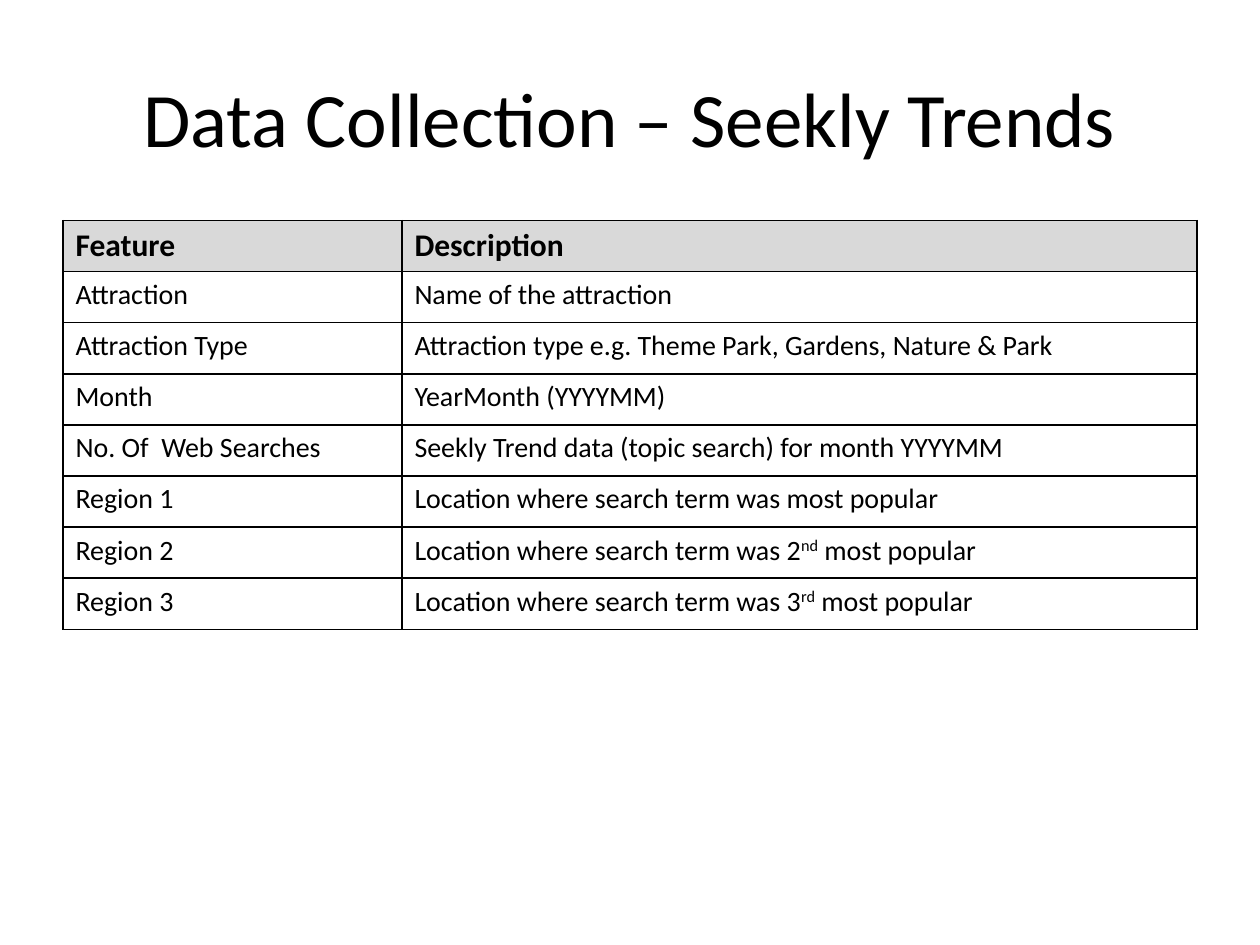
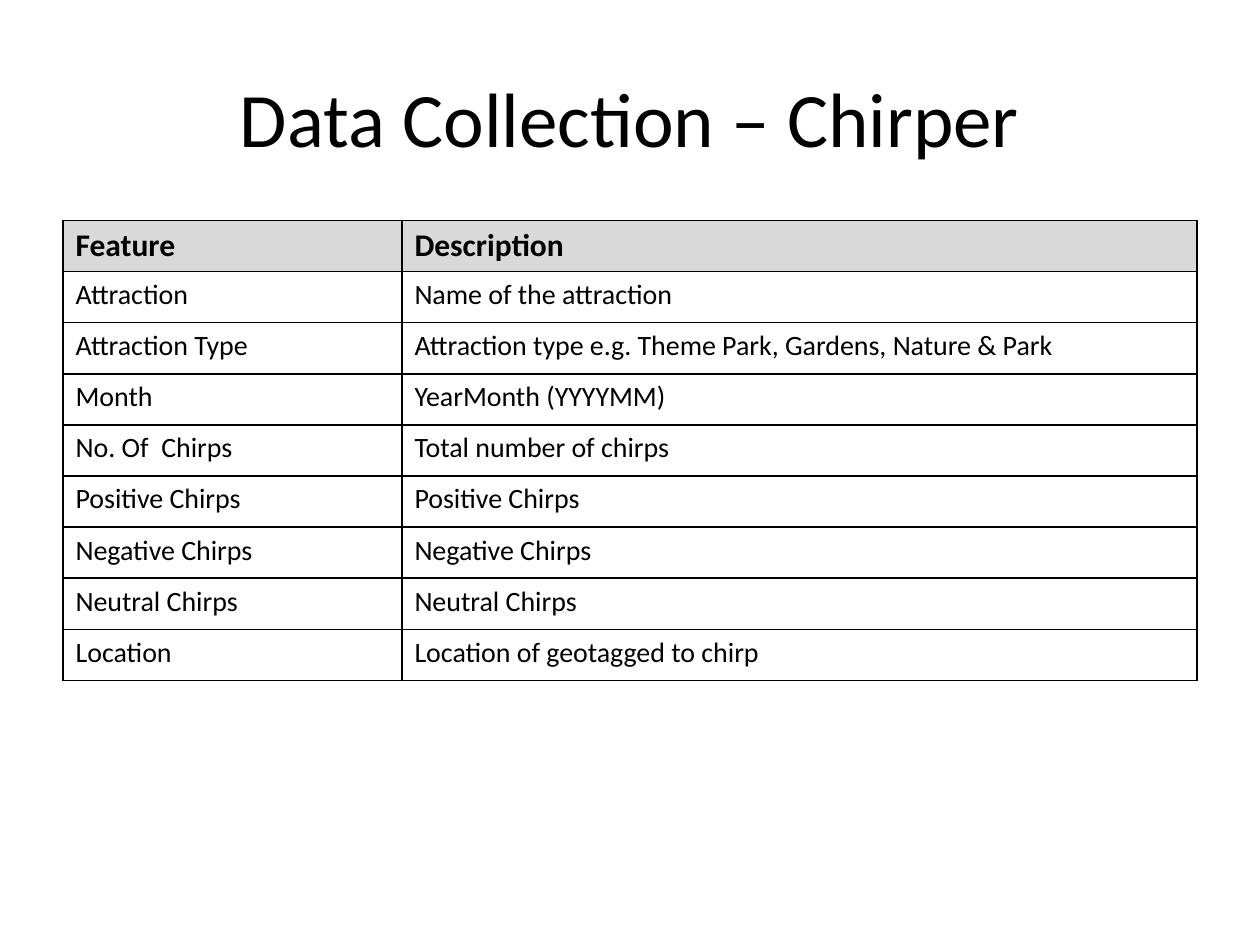
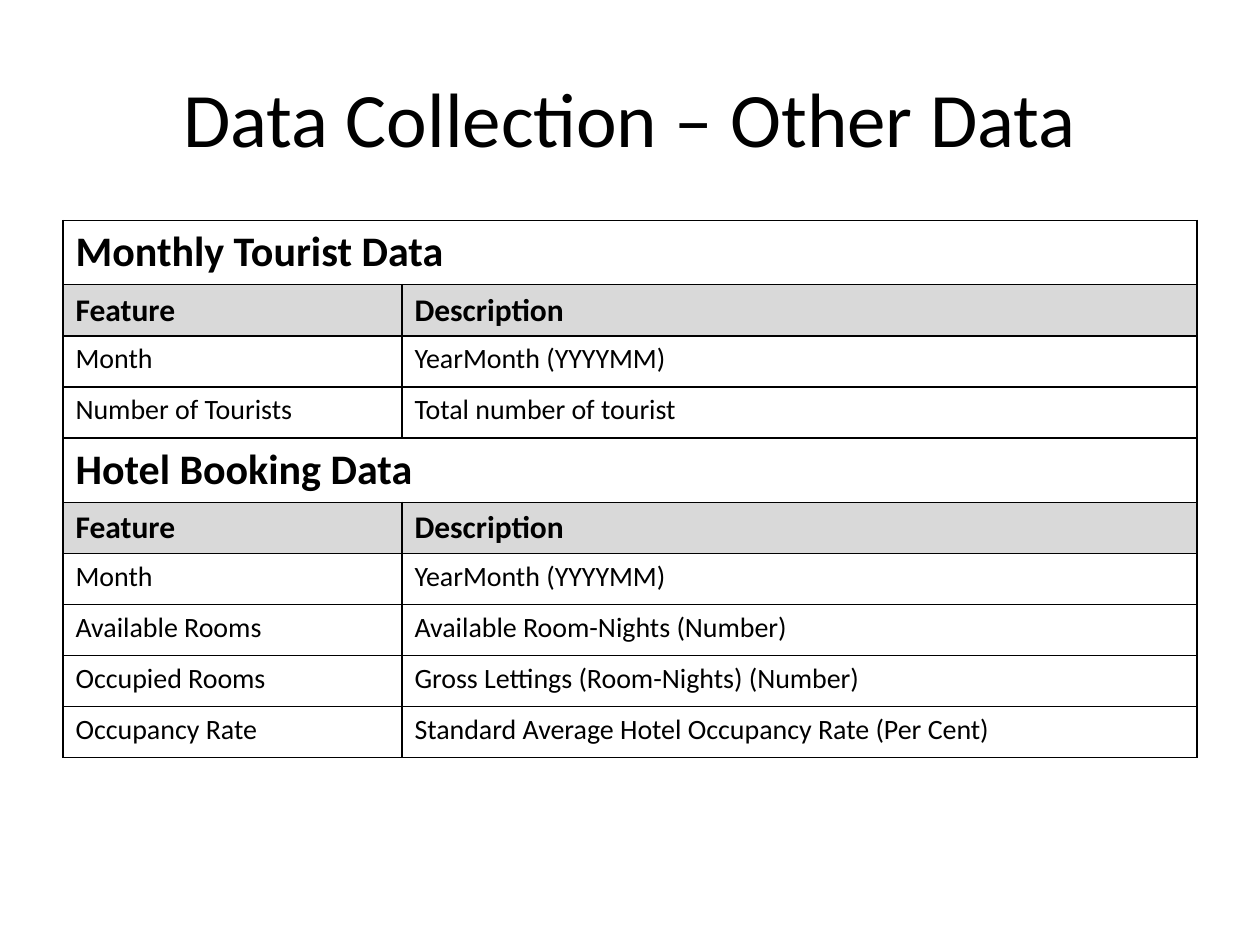
import pptx
import pptx.dml.color
import pptx.enum.text
import pptx.oxml
import pptx.oxml.ns
import pptx.util

Inches = pptx.util.Inches

COLOURS = {"text": "000000", "border": "000000", "header": "D9D9D9"}
FONT = "Calibri"
TITLE_BOX = {"left": Inches(0.5), "top": Inches(0.3), "width": Inches(9), "height": Inches(1.25)}
TABLE_LEFT, TABLE_TOP = Inches(0.5), Inches(1.75)
COLUMN_WIDTHS = [Inches(2.69), Inches(6.31)]
ROW_HEIGHT = Inches(3.65 / 9)
SECTION_HEIGHT = Inches(0.51)

TITLE_FORMAT = {"size": pptx.util.Pt(44), "bold": False}
SECTION_FORMAT = {"size": pptx.util.Pt(24), "bold": True}
HEADER_FORMAT = {"size": pptx.util.Pt(18), "bold": True}
ENTRY_FORMAT = {"size": pptx.util.Pt(16), "bold": False}

HEADER = ("Feature", "Description")
MONTH = ("Month", "YearMonth (YYYYMM)")
ATTRACTION_ROWS = [
    HEADER,
    ("Attraction", "Name of the attraction"),
    ("Attraction Type", "Attraction type e.g. Theme Park, Gardens, Nature & Park"),
    MONTH,
]
SEARCH_ROWS = ATTRACTION_ROWS + [
    ("No. Of  Web Searches", "Seekly Trend data (topic search) for month YYYYMM"),
    ("Region 1", "Location where search term was most popular"),
    ("Region 2", "Location where search term was 2^nd^ most popular"),
    ("Region 3", "Location where search term was 3^rd^ most popular"),
]
CHIRP_ROWS = ATTRACTION_ROWS + [
    ("No. Of  Chirps", "Total number of chirps"),
    *[(f"{mood} Chirps",) * 2 for mood in ("Positive", "Negative", "Neutral")],
    ("Location", "Location of geotagged to chirp"),
]
OTHER_ROWS = [
    ("Monthly Tourist Data",),
    HEADER,
    MONTH,
    ("Number of Tourists", "Total number of tourist"),
    ("Hotel Booking Data",),
    HEADER,
    MONTH,
    ("Available Rooms", "Available Room-Nights (Number)"),
    ("Occupied Rooms", "Gross Lettings (Room-Nights) (Number)"),
    ("Occupancy Rate", "Standard Average Hotel Occupancy Rate (Per Cent)"),
]


def set_attributes(target, values):
    for name, value in values.items():
        setattr(target, name, value)


def colour(name):
    return pptx.dml.color.RGBColor.from_string(COLOURS[name])


def write_text(para, text, text_format):
    for index, part in enumerate(text.split("^")):
        span = para.add_run()
        span.text = part
        set_attributes(span.font, {"name": FONT, **text_format})
        span.font.color.rgb = colour("text")
        if index % 2:
            span.font._element.set("baseline", "30000")


def add_title(page, text):
    title = page.shapes.title
    set_attributes(title, TITLE_BOX)
    title.text_frame.vertical_anchor = pptx.enum.text.MSO_ANCHOR.MIDDLE
    para = title.text_frame.paragraphs[0]
    para.alignment = pptx.enum.text.PP_ALIGN.CENTER
    write_text(para, text, TITLE_FORMAT)


def add_borders(cell):
    properties = cell._tc.get_or_add_tcPr()
    for side in ("lnL", "lnR", "lnT", "lnB"):
        properties.append(pptx.oxml.parse_xml(
            f'<a:{side} {pptx.oxml.ns.nsdecls("a")} w="{pptx.util.Pt(1)}"><a:solidFill>'
            f'<a:srgbClr val="{COLOURS["border"]}"/></a:solidFill></a:{side}>'
        ))


def style_cell(cell, is_header):
    add_borders(cell)
    if is_header:
        cell.fill.solid()
        cell.fill.fore_color.rgb = colour("header")
    else:
        cell.fill.background()


def row_format(texts):
    if len(texts) == 1:
        return SECTION_FORMAT
    return HEADER_FORMAT if texts == HEADER else ENTRY_FORMAT


def add_feature_table(page, rows):
    heights = [SECTION_HEIGHT if len(texts) == 1 else ROW_HEIGHT for texts in rows]
    table = page.shapes.add_table(
        len(rows), len(COLUMN_WIDTHS), TABLE_LEFT, TABLE_TOP, sum(COLUMN_WIDTHS), sum(heights)
    ).table
    set_attributes(table, {"first_row": False, "horz_banding": False})
    for column, width in zip(table.columns, COLUMN_WIDTHS):
        column.width = width
    for row, height, texts in zip(table.rows, heights, rows):
        row.height = height
        cells = list(row.cells)
        for cell in cells:
            style_cell(cell, texts == HEADER)
        if len(texts) == 1:
            cells[0].merge(cells[-1])
        for cell, text in zip(cells, texts):
            write_text(cell.text_frame.paragraphs[0], text, row_format(texts))


def add_data_page(deck, source, rows):
    page = deck.slides.add_slide(deck.slide_layouts.get_by_name("Title Only"))
    add_title(page, f"Data Collection – {source}")
    add_feature_table(page, rows)


def main():
    deck = pptx.Presentation()
    set_attributes(deck, {"slide_width": Inches(10), "slide_height": Inches(7.5)})
    add_data_page(deck, "Seekly Trends", SEARCH_ROWS)
    add_data_page(deck, "Chirper", CHIRP_ROWS)
    add_data_page(deck, "Other Data", OTHER_ROWS)
    deck.save("out.pptx")


if __name__ == "__main__":
    main()
